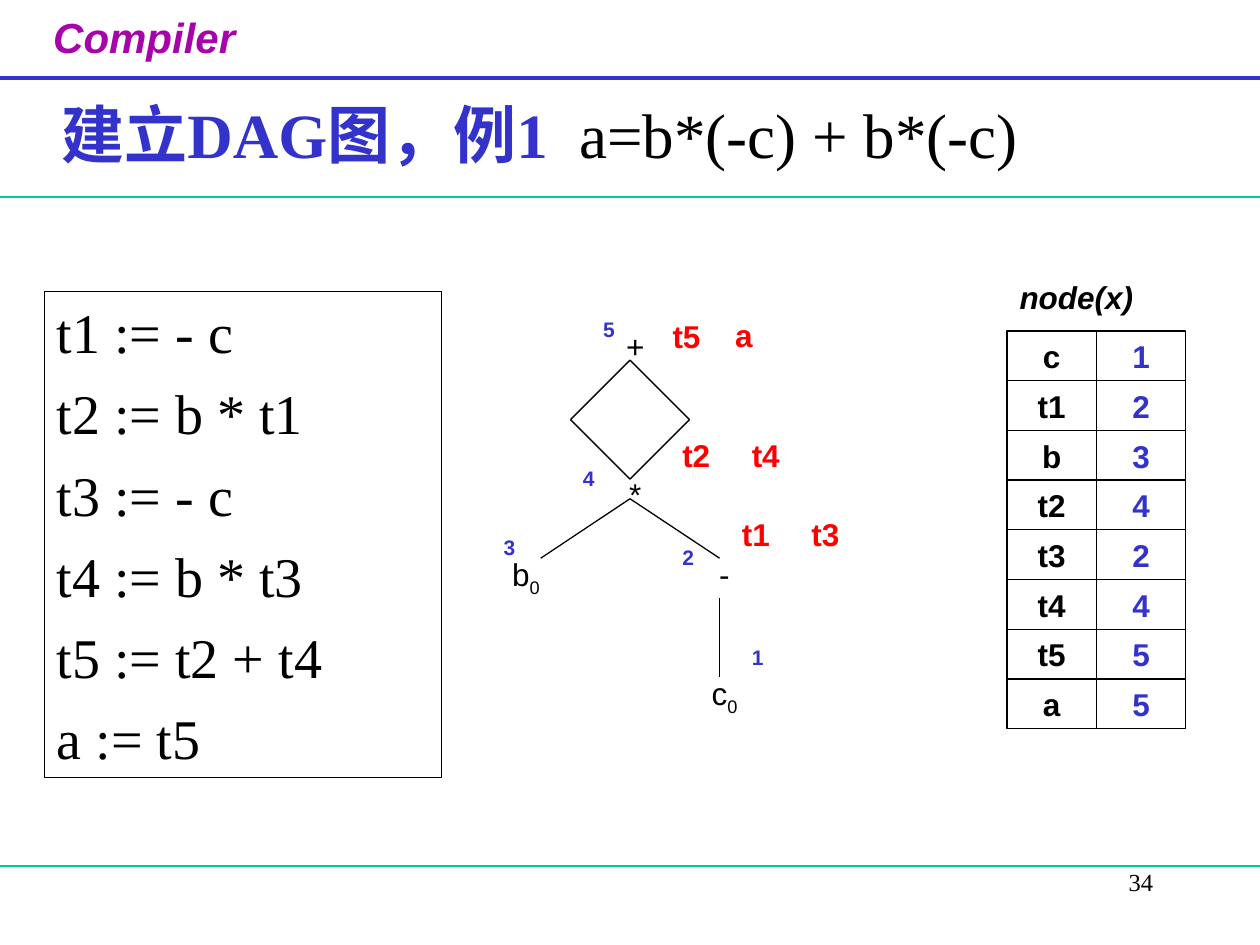
import pptx
import pptx.dml.color
import pptx.enum.shapes
import pptx.enum.text
import pptx.util
from pptx.oxml.ns import qn

Pt = pptx.util.Pt
ALIGN = pptx.enum.text.PP_ALIGN
BLACK, BLUE, GREEN, RED, PURPLE = "000000", "3333CC", "00CC99", "FF0000", "A603AB"
SANS, SERIF = "Arial", "Times New Roman"


def color(hex_value):
    return pptx.dml.color.RGBColor.from_string(hex_value)


class SlideBuilder:
    def __init__(self, slide):
        self.slide = slide
        self.line_width = 0.75

    def style(self, run, size, ink, font=SANS, bold=False, italic=False):
        run.font.size = Pt(size)
        run.font.name = font
        run.font.bold = bold
        run.font.italic = italic
        run.font.color.rgb = color(ink)

    def text(self, content, left, top, width, height, size, ink=BLACK,
             align=ALIGN.LEFT, wrap=True, **look):
        box = self.slide.shapes.add_textbox(Pt(left), Pt(top), Pt(width), Pt(height))
        box.text_frame.word_wrap = wrap
        paragraph = box.text_frame.paragraphs[0]
        paragraph.text = content
        paragraph.alignment = align
        for run in paragraph.runs:
            self.style(run, size, ink, **look)
        return paragraph

    def framed(self, lines, left, top, width, height, size, ink=BLACK,
               align=ALIGN.CENTER, gap=0, **look):
        box = self.slide.shapes.add_shape(
            pptx.enum.shapes.MSO_SHAPE.RECTANGLE, Pt(left), Pt(top), Pt(width), Pt(height))
        box.shadow.inherit = False
        box.fill.background()
        box.line.color.rgb = color(BLACK)
        box.line.width = Pt(self.line_width)
        frame = box.text_frame
        frame.word_wrap = True
        frame.vertical_anchor = pptx.enum.text.MSO_ANCHOR.TOP
        frame.text = "\n".join(lines)
        for index, paragraph in enumerate(frame.paragraphs):
            paragraph.alignment = align
            paragraph.space_before = Pt(gap if index else 0)
            self.style(paragraph.runs[0], size, ink, **look)

    def line(self, start, end, ink=BLACK, width=None):
        line = self.slide.shapes.add_connector(
            pptx.enum.shapes.MSO_CONNECTOR.STRAIGHT, *map(Pt, start + end))
        line.line.color.rgb = color(ink)
        line.line.width = Pt(width or self.line_width)
        properties = line._element.spPr
        properties.append(properties.makeelement(qn("a:effectLst"), {}))

    def node(self, symbol, subscript, left, top):
        paragraph = self.text(symbol, left, top, 51, 29, 18, align=ALIGN.CENTER)
        if subscript:
            run = paragraph.add_run()
            run.text = subscript
            self.style(run, 18, BLACK)
            run.font._element.set("baseline", "-25000")


def main():
    deck = pptx.Presentation()
    deck.slide_width, deck.slide_height = Pt(720), Pt(540)
    page = SlideBuilder(deck.slides.add_slide(deck.slide_layouts[6]))

    # Header and footer
    page.text("Compiler", 23.3, 2.9, 137.5, 44.6, 24, PURPLE, wrap=False, bold=True, italic=True)
    for y, ink, width in ((44.6, BLUE, 2.25), (112.6, GREEN, 0.75), (494.8, GREEN, 0.75)):
        page.line((0, y), (720, y), ink, width)
    page.text("34", 516.2, 491.8, 149.8, 36, 14, align=ALIGN.RIGHT, font=SERIF)

    # Title: the topic, a widened space, then the expression
    title = page.text("建立DAG图，例1", 28, 50.9, 648, 62.6, 36, BLUE, font=SERIF, bold=True)
    gap, expression = title.add_run(), title.add_run()
    gap.text, expression.text = " ", "a=b*(-c) + b*(-c)"
    for run in (gap, expression):
        page.style(run, 36, BLACK, font=SERIF)
    gap.font._element.set("spc", "900")

    # Three-address code
    page.framed(["t1 := - c", "t2 := b * t1", "t3 := - c", "t4 := b * t3",
                 "t5 := t2 + t4", "a := t5"], 25.4, 166.5, 227, 278, 32,
                align=ALIGN.LEFT, gap=8, font=SERIF)

    # DAG edges
    plus, left_corner, right_corner = (360, 205.8), (326, 239.8), (394, 239.8)
    star_top, star_bottom = (360, 273.8), (360, 285)
    edges = [(plus, left_corner), (plus, right_corner),
             (left_corner, star_top), (right_corner, star_top),
             (star_bottom, (309, 319)), (star_bottom, (411.2, 319)),
             ((411.2, 341.8), (411.2, 387.1))]
    for start, end in edges:
        page.line(start, end)

    # DAG nodes with their numbers
    nodes = [("c", "0", 388.5, 381.8, "1", 422.5, 364.6),
             ("b", "0", 275, 313.4, "3", 280.7, 302),
             ("*", "", 337.5, 268, "4", 326, 262.5),
             ("+", "", 337.5, 183.2, "5", 337.5, 177.2),
             ("-", "", 388.5, 313.4, "2", 382.8, 307.7)]
    for symbol, subscript, left, top, number, number_left, number_top in nodes:
        page.node(symbol, subscript, left, top)
        page.text(number, number_left, number_top, 23, 21.6, 12, BLUE, bold=True)

    # Variables attached to the nodes
    variables = [("t5", 377.2, 177.5), ("a", 413, 177), ("t2", 382.8, 245.6),
                 ("t4", 422.5, 245.6), ("t1", 416.9, 290.8), ("t3", 456.6, 290.8)]
    for name, left, top in variables:
        page.text(name, left, top, 39.7, 29, 18, RED, bold=True)

    # Node list: touching boxes, each variable beside its node number
    page.text("node(x)", 575.5, 155.4, 107, 29, 18, bold=True, italic=True)
    node_of = {"c": "1", "t1": "2", "b": "3", "t2": "4",
               "t3": "2", "t4": "4", "t5": "5", "a": "5"}
    box_width, row_step = 51, 28.4
    for row, pair in enumerate(node_of.items()):
        for column, (value, ink) in enumerate(zip(pair, (BLACK, BLUE))):
            page.framed([value], 575.5 + column * box_width, 189.2 + row * row_step,
                        box_width, row_step, 18, ink, bold=True)

    deck.save("out.pptx")


if __name__ == "__main__":
    main()
